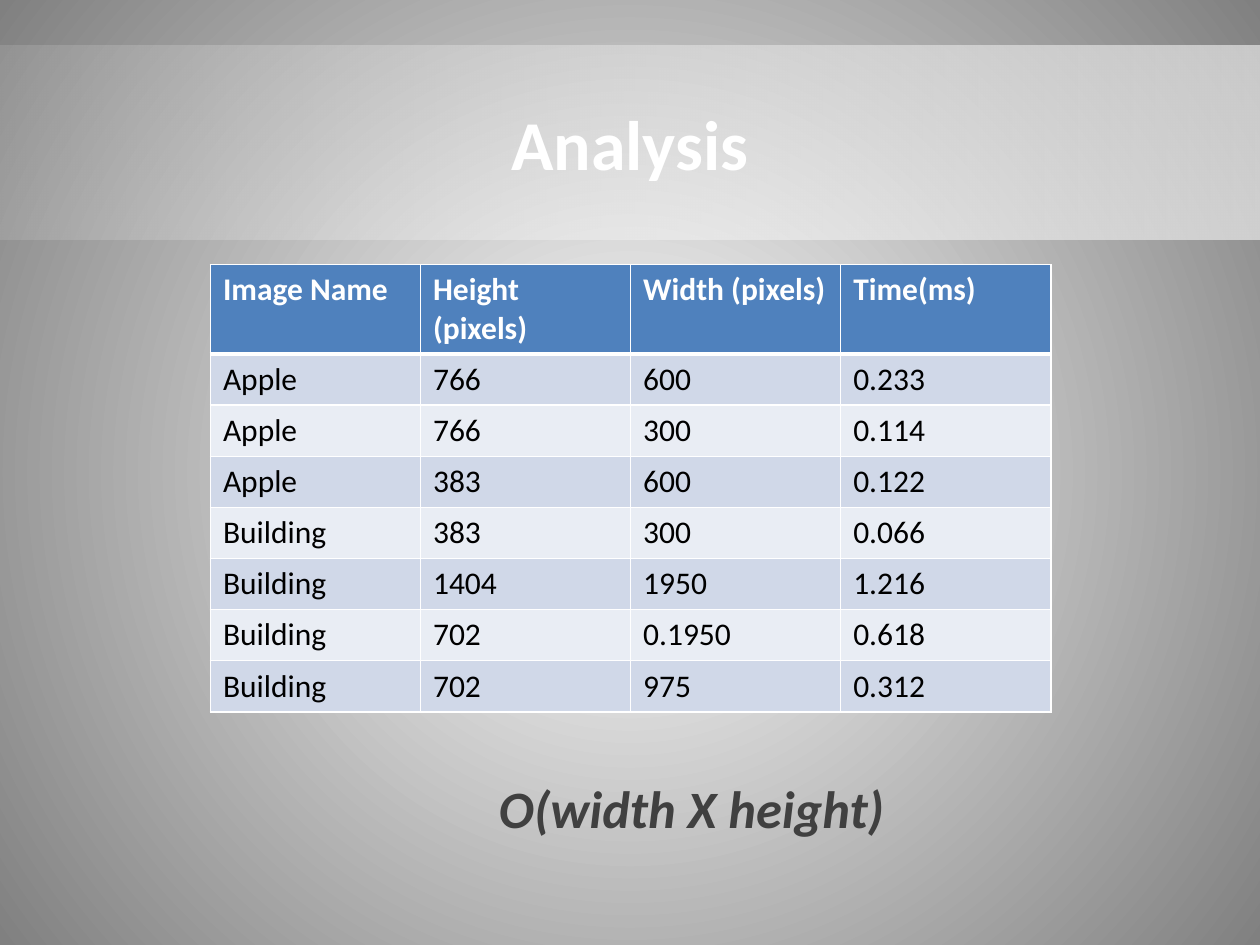
from lxml.etree import SubElement
from pptx import Presentation
from pptx.dml.color import RGBColor
from pptx.enum.shapes import MSO_SHAPE
from pptx.enum.text import MSO_ANCHOR, PP_ALIGN
from pptx.oxml.ns import qn
from pptx.util import Inches, Pt

ROWS = [
    ("Image Name", "Height (pixels)", "Width (pixels)", "Time(ms)"),
    ("Apple", "766", "600", "0.233"),
    ("Apple", "766", "300", "0.114"),
    ("Apple", "383", "600", "0.122"),
    ("Building", "383", "300", "0.066"),
    ("Building", "1404", "1950", "1.216"),
    ("Building", "702", "0.1950", "0.618"),
    ("Building", "702", "975", "0.312"),
]


def color(value):
    return RGBColor.from_string(value)


def write(tf, text, size, hex_color, bold=False, italic=False, align=PP_ALIGN.LEFT):
    tf.text = text
    tf.word_wrap = True
    p = tf.paragraphs[0]
    p.alignment = align
    font = p.runs[0].font
    font.name = "Calibri"
    font.size = Pt(size)
    font.bold = bold
    font.italic = italic
    font.color.rgb = color(hex_color)


prs = Presentation()
prs.slide_width = Inches(10)
prs.slide_height = Inches(7.5)
s = prs.slides.add_slide(prs.slide_layouts[6])

# Background: round gradient from a white centre to grey
fill = s.background.fill
fill.gradient()
for stop, value in zip(fill.gradient_stops, ("FFFFFF", "808080")):
    stop.color.rgb = color(value)
grad = next(s.element.iter(qn("a:gradFill")))
grad.remove(grad.find(qn("a:lin")))
circle = SubElement(grad, qn("a:path"), {"path": "circle"})
SubElement(circle, qn("a:fillToRect"), {side: "50000" for side in "ltrb"})

# Title band: white, more opaque to the right
band = s.shapes.add_shape(MSO_SHAPE.RECTANGLE, 0, Inches(0.36), Inches(10), Inches(1.54))
band.shadow.inherit = False
band.line.fill.background()
band.fill.gradient()
band.fill.gradient_angle = 0
for stop in band.fill.gradient_stops:
    stop.color.rgb = color("FFFFFF")
for clr, percent in zip(band.element.spPr.iter(qn("a:srgbClr")), (12, 57)):
    SubElement(clr, qn("a:alpha"), val=str(percent * 1000))
band.text_frame.vertical_anchor = MSO_ANCHOR.MIDDLE
write(band.text_frame, "Analysis", 40, "FFFFFF", bold=True, align=PP_ALIGN.CENTER)

# Timing table
table = s.shapes.add_table(len(ROWS), len(ROWS[0]), Inches(1.67), Inches(2.1),
                           Inches(6.67), Inches(3.54)).table
for column in table.columns:
    column.width = Inches(6.67 / 4)
for i, values in enumerate(ROWS):
    header = i == 0
    table.rows[i].height = Inches(0.71 if header else 0.4)
    for j, value in enumerate(values):
        cell = table.cell(i, j)
        tcPr = cell._tc.get_or_add_tcPr()
        for side in "LRTB":
            thick = (header and side == "B") or (i == 1 and side == "T")
            ln = SubElement(tcPr, qn(f"a:ln{side}"), w=str(Pt(3 if thick else 1)))
            SubElement(SubElement(ln, qn("a:solidFill")), qn("a:srgbClr"), val="FFFFFF")
        cell.fill.solid()
        cell.fill.fore_color.rgb = color(
            "4F81BD" if header else "D0D8E8" if i % 2 else "E9EDF4")
        write(cell.text_frame, value, 18, "FFFFFF" if header else "000000", bold=header)

# Complexity
note = s.shapes.add_textbox(Inches(1.63), Inches(6.11), Inches(7.72), Inches(0.61))
write(note.text_frame, "O(width X height)", 30, "404040", bold=True, italic=True,
      align=PP_ALIGN.CENTER)

prs.save("out.pptx")
